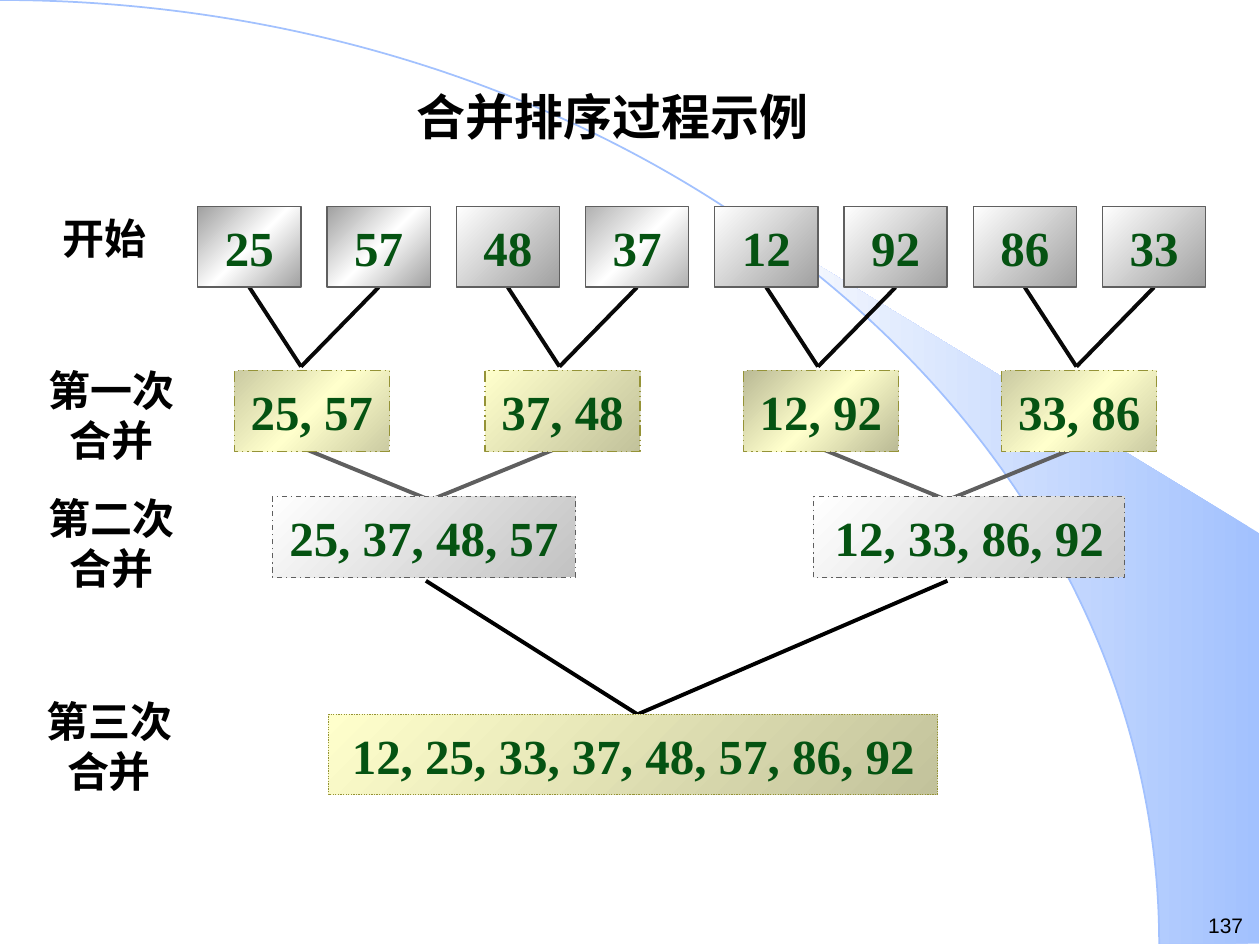
from copy import deepcopy
from math import cos, radians, sin

from lxml import etree
from pptx import Presentation
from pptx.dml.color import RGBColor
from pptx.enum.dml import MSO_LINE
from pptx.enum.shapes import MSO_CONNECTOR, MSO_SHAPE
from pptx.enum.text import MSO_ANCHOR, PP_ALIGN
from pptx.oxml.ns import qn
from pptx.util import Pt

RECT, ARC = MSO_SHAPE.RECTANGLE, MSO_SHAPE.ARC
STRAIGHT = MSO_CONNECTOR.STRAIGHT
LEFT, CENTER = PP_ALIGN.LEFT, PP_ALIGN.CENTER
TOP, MIDDLE = MSO_ANCHOR.TOP, MSO_ANCHOR.MIDDLE
LONG_DASH, DASH, DOT = MSO_LINE.DASH_DOT_DOT, MSO_LINE.DASH_DOT, MSO_LINE.ROUND_DOT
rgb = RGBColor.from_string

CJK = "Noto Sans CJK SC"
NUMBER = {"size": Pt(28), "name": "Times New Roman", "bold": True}
TITLE = {"size": Pt(28), "name": CJK, "bold": True}
LABEL = {"size": Pt(24), "name": CJK, "bold": True}
PAGE = {"size": Pt(12), "name": "Arial"}


def set_gradient(s, colors, angle):
    s.fill.gradient()
    s.fill.gradient_angle = angle
    stop_list = s._element.spPr.find(qn("a:gradFill")).find(qn("a:gsLst"))
    if len(colors) == 3:
        stop_list.append(deepcopy(stop_list[-1]))
    for i, stop in enumerate(s.fill.gradient_stops):
        stop.color.rgb = rgb(colors[i])
        stop.position = i / (len(colors) - 1)


def write(s, text, font, color, align, anchor):
    tf = s.text_frame
    tf.word_wrap = True
    tf.vertical_anchor = anchor
    p = tf.paragraphs[0]
    p.alignment = align
    r = p.add_run()
    r.text = text
    for key, value in font.items():
        setattr(r.font, key, value)
    r.font.color.rgb = rgb(color)
    if font["name"] == CJK:
        etree.SubElement(r.font._element, qn("a:ea"), typeface=CJK)


prs = Presentation()
prs.slide_width, prs.slide_height = Pt(720), Pt(540)
shapes = prs.slides.add_slide(prs.slide_layouts[6]).shapes

# Background wedge, bounded on the left by the arc
RX, RY = 662.4, 539.3
curve = [(RX * cos(radians(a)), RY - RY * sin(radians(a))) for a in range(50, -1, -2)]
fb = shapes.build_freeform(Pt(719.3), Pt(304.6))
fb.add_line_segments([(Pt(x), Pt(y)) for x, y in curve + [(719.3, RY)]])
s = fb.convert_to_shape()
s.shadow.inherit = False
set_gradient(s, ["A2C1FE", "FEFEFE"], 180)
s.line.fill.background()

# Background arc, a quarter of an ellipse
s = shapes.add_shape(ARC, Pt(-RX), Pt(0), Pt(2 * RX), Pt(2 * RY))
s.shadow.inherit = False
s.fill.background()
s.line.color.rgb = rgb("A2C1FE")
s.line.width = Pt(1)

# Merge lines: each pair of sources runs to one target
X0, STEP = 142.5, 73.85
merges = [(X0 + 2 * k * STEP, X0 + (2 * k + 1) * STEP, X0 + (2 * k + 0.4) * STEP,
           164.2, 209.5, "080808") for k in range(4)]
merges += [(x, x + 2 * STEP, x + STEP, 255.6, 285.8, "5F5F5F")
           for x in (172, 172 + 4 * STEP)]
merges.append((243.4, 541.4, 364.3, 331.9, 408.2, "000000"))
for left, right, target, top, bottom, color in merges:
    for x in (left, right):
        s = shapes.add_connector(STRAIGHT, Pt(x), Pt(top), Pt(target), Pt(bottom))
        s.line.color.rgb = rgb(color)
        s.line.width = Pt(2.25)
        etree.SubElement(s._element.spPr, qn("a:effectLst"))

# Number boxes: left, top, width, text, gradient, line colour, dash
GRAY = ["A0A0A0", "FFFFFF"]
GRAY_BAND = GRAY + ["A0A0A0"]
SAND = ["C2C29B", "FFFFCC"]
SAND_BAND = ["CBCBA2", "FFFFCC", "CBCBA2"]
start = [("25", GRAY_BAND), ("57", GRAY_BAND), ("48", GRAY),
         ("37", ["B1B1B1", "FFFFFF", "B1B1B1"]),
         ("12", GRAY), ("92", GRAY), ("86", GRAY), ("33", GRAY)]
first = [(133.9, "25, 57", SAND_BAND), (277.2, "37, 48", SAND),
         (424.8, "12, 92", ["BABA95", "FFFFCC", "BABA95"]),
         (572.4, "33, 86", SAND_BAND)]
boxes = [(113 + i * STEP, 118.1, 59, text, fill, "5F5F5F", None)
         for i, (text, fill) in enumerate(start)]
boxes += [(x, 211.9, 88.6, text, fill, "959337", LONG_DASH) for x, text, fill in first]
boxes += [
    (155.7, 283.9, 173, "25, 37, 48, 57", ["C2C2C2", "FFFFFF"], "5F5F5F", DASH),
    (465, 283.9, 177.8, "12, 33, 86, 92", ["CBCBCB", "FFFFFF"], "5F5F5F", DASH),
    (187.8, 408.2, 348, "12, 25, 33, 37, 48, 57, 86, 92", SAND, "959337", DOT),
]
for x, y, w, text, fill, color, dash in boxes:
    s = shapes.add_shape(RECT, Pt(x), Pt(y), Pt(w), Pt(46))
    s.shadow.inherit = False
    set_gradient(s, fill, 135)
    s.line.color.rgb = rgb(color)
    s.line.width = Pt(0.75)
    if dash:
        s.line.dash_style = dash
    write(s, text, NUMBER, "055312", CENTER, MIDDLE)

# Title, step labels and page number
texts = [
    (167, 46.1, 366, 41, "合并排序过程示例", TITLE, CENTER),
    (28.8, 118.1, 72, 36, "开始", LABEL, LEFT),
    (18.7, 204.5, 90, 65, "第一次合并", LABEL, CENTER),
    (18.7, 277.9, 90, 65, "第二次合并", LABEL, CENTER),
    (17.3, 393.8, 90, 65, "第三次合并", LABEL, CENTER),
    (683.3, 517.7, 36.7, 21.6, "137", PAGE, LEFT),
]
for x, y, w, h, text, font, align in texts:
    s = shapes.add_textbox(Pt(x), Pt(y), Pt(w), Pt(h))
    write(s, text, font, "000000", align, TOP)

prs.save("out.pptx")
